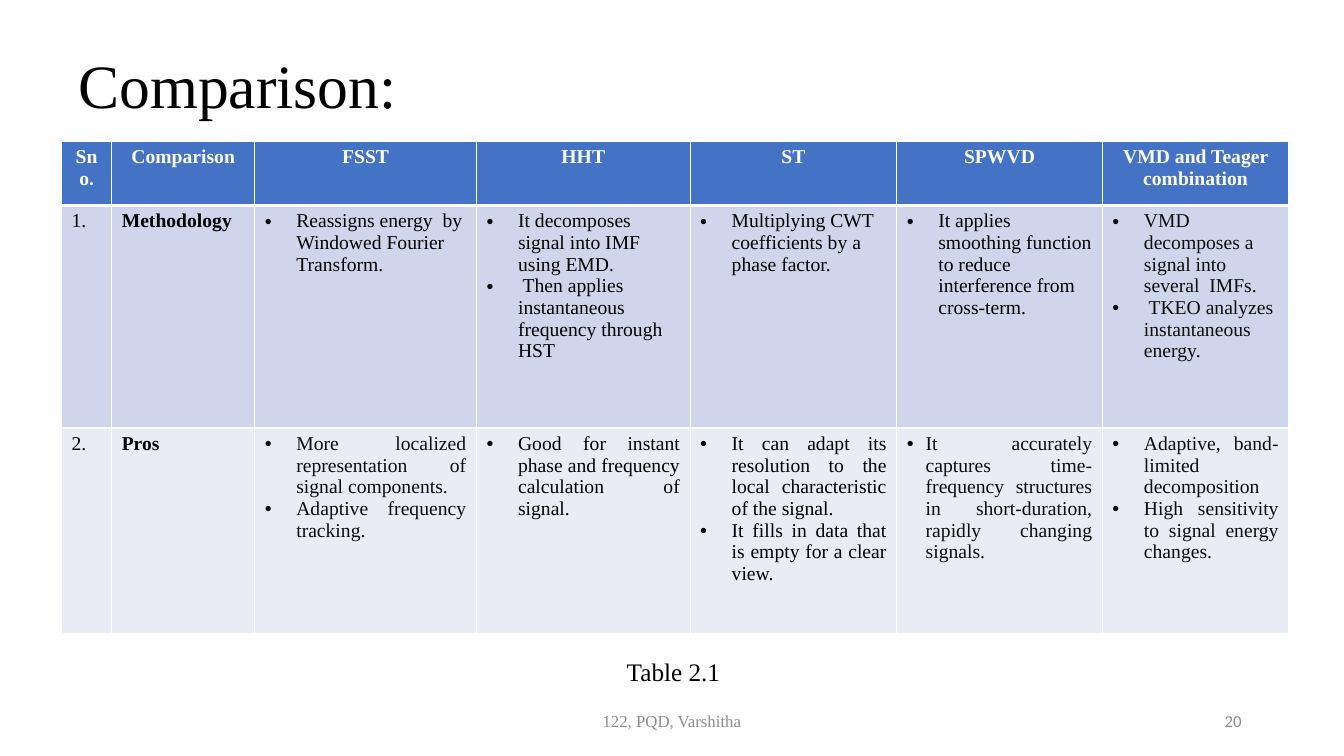
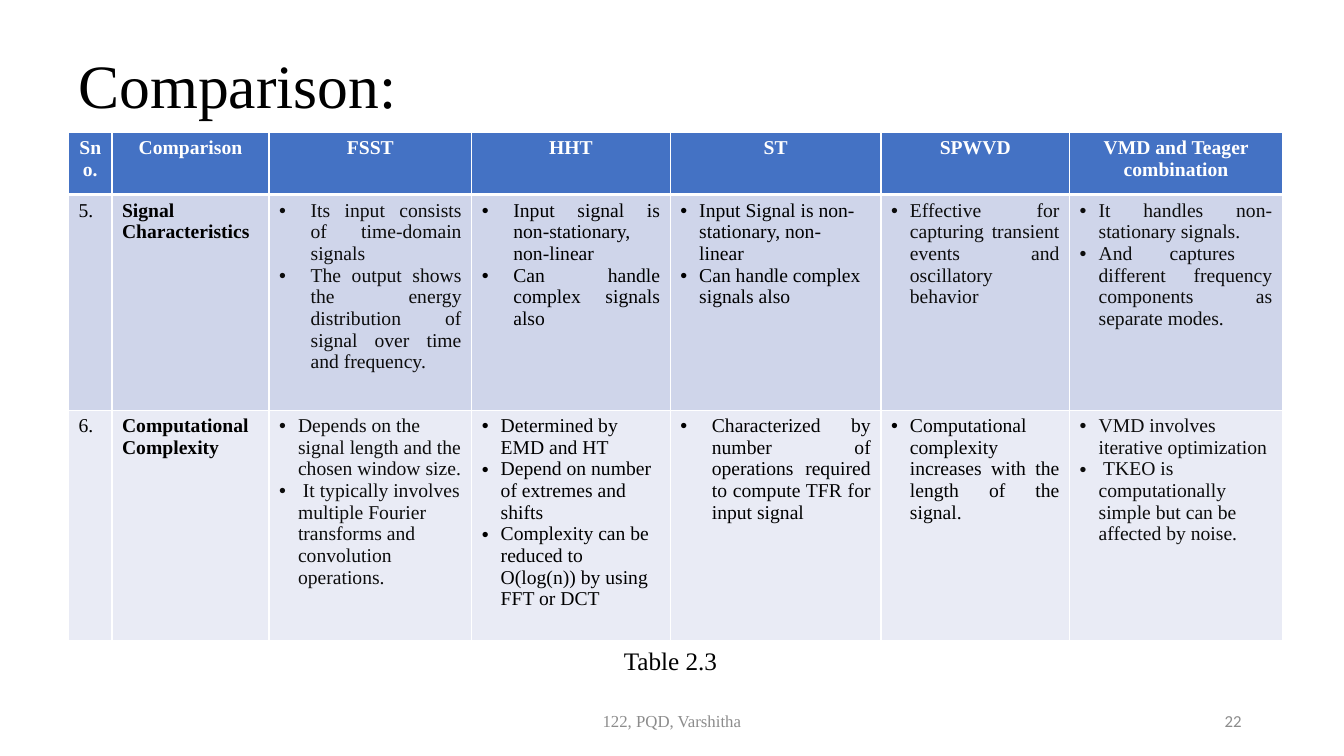
from dataclasses import dataclass

from lxml import etree
from pptx import Presentation
from pptx.dml.color import RGBColor
from pptx.enum.text import MSO_ANCHOR, PP_ALIGN
from pptx.oxml.ns import qn
from pptx.util import Pt

COLORS = {"black": "000000", "soft": "0D0D0D", "white": "FFFFFF", "gray": "8C8C8C",
          "header": "4472C4", "band_dark": "CFD5EA", "band_light": "E9EBF5"}
SERIF, SANS = "Times New Roman", "Calibri"
LEFT, CENTER, RIGHT, JUSTIFY = PP_ALIGN.LEFT, PP_ALIGN.CENTER, PP_ALIGN.RIGHT, PP_ALIGN.JUSTIFY
WIDE, NARROW = 22.5, 13.5  # hanging indents of the bullets


@dataclass
class Points:
    lines: list
    align: int = LEFT
    color: str = "black"
    indent: float = WIDE


# Content
TITLE = "Comparison:"
FOOTER = "122, PQD, Varshitha"
HEADINGS = ["Sno.", "Comparison", "FSST", "HHT", "ST", "SPWVD", "VMD and Teager combination"]

SLIDES = [
    {
        "page": "20", "caption": "Table 2.1", "caption_at": (440.6, 465),
        "table_at": (44, 100.8), "row_heights": [46, 159, 147],
        "col_widths": [35.8, 102.2, 158.4, 152.6, 147.6, 146.9, 133.2],
        "rows": [
            ("1.", "Methodology", [
                Points(["Reassigns energy  by Windowed Fourier Transform."]),
                Points(["It decomposes signal into IMF using EMD.",
                        " Then applies instantaneous frequency through HST"]),
                Points(["Multiplying CWT coefficients by a phase factor."]),
                Points(["It applies smoothing function to reduce interference from cross-term."]),
                Points(["VMD decomposes a signal into several  IMFs.",
                        " TKEO analyzes instantaneous energy."], color="soft"),
            ]),
            ("2.", "Pros", [
                Points(["More localized representation of signal components.",
                        "Adaptive frequency tracking."], JUSTIFY, "soft"),
                Points(["Good for instant phase and frequency calculation of signal."], JUSTIFY),
                Points(["It can adapt its resolution to the local characteristic of the signal.",
                        "It fills in data that is empty for a clear view."], JUSTIFY),
                Points(["It accurately captures time-frequency structures in short-duration, "
                        "rapidly changing signals."], JUSTIFY, "soft", NARROW),
                Points(["Adaptive, band-limited decomposition",
                        "High sensitivity to signal energy changes."], JUSTIFY, "soft"),
            ]),
        ],
    },
    {
        "page": "22", "caption": "Table 2.3", "caption_at": (438.5, 457.2),
        "table_at": (49, 94.4), "row_heights": [44.6, 154, 164.8],
        "col_widths": [31, 112.2, 144.8, 141.8, 150.5, 134.8, 152],
        "rows": [
            ("5.", "Signal Characteristics", [
                Points(["Its input consists of time-domain signals",
                        "The output shows the energy distribution of signal over time "
                        "and frequency."], JUSTIFY, "soft"),
                Points(["Input signal is non-stationary, non-linear",
                        "Can handle complex signals also"], JUSTIFY),
                Points(["Input Signal is non- stationary, non- linear",
                        "Can handle complex signals also"], indent=NARROW),
                Points(["Effective for capturing transient events and oscillatory behavior"],
                       JUSTIFY, "soft", NARROW),
                Points(["It handles non-stationary signals.",
                        "And captures  different frequency components as separate modes."],
                       JUSTIFY, "soft", NARROW),
            ]),
            ("6.", "Computational Complexity", [
                Points(["Depends on the signal length and the chosen window size.",
                        " It typically involves multiple Fourier transforms and "
                        "convolution operations."], LEFT, "soft", NARROW),
                Points(["Determined by EMD and HT",
                        "Depend on number of extremes and shifts",
                        "Complexity can be reduced to O(log(n)) by using FFT or DCT"],
                       indent=NARROW),
                Points(["Characterized by number of operations required to compute TFR "
                        "for input signal"], JUSTIFY),
                Points(["Computational complexity increases with the length of the signal."],
                       JUSTIFY, indent=NARROW),
                Points(["VMD involves iterative optimization",
                        " TKEO is computationally simple but can be affected by noise."],
                       LEFT, "soft", NARROW),
            ]),
        ],
    },
]


def rgb(name):
    return RGBColor.from_string(COLORS[name])


def write(frame, lines, size=14, color="black", font=SERIF, bold=False,
          align=LEFT, indent=0, spacing=None):
    """Fill a text frame with one paragraph a line; an indent makes them bullets."""
    frame.word_wrap = True
    for i, line in enumerate(lines):
        paragraph = frame.paragraphs[0] if i == 0 else frame.add_paragraph()
        paragraph.alignment = align
        if spacing:
            paragraph.line_spacing = spacing
        if indent:
            props = paragraph._p.get_or_add_pPr()
            props.set("marL", str(Pt(indent)))
            props.set("indent", str(-Pt(indent)))
            etree.SubElement(props, qn("a:buFont"), typeface="Arial")
            etree.SubElement(props, qn("a:buChar"), char="•")
        run = paragraph.add_run()
        run.text = line
        run.font.size, run.font.name, run.font.bold = Pt(size), font, bold
        run.font.color.rgb = rgb(color)


def add_label(slide, text, left, top, width, height, anchor=MSO_ANCHOR.MIDDLE, **style):
    box = slide.shapes.add_textbox(Pt(left), Pt(top), Pt(width), Pt(height))
    box.text_frame.vertical_anchor = anchor
    write(box.text_frame, [text], **style)


def paint(cell, fill, top=1, bottom=1):
    """White cell borders, then the fill."""
    props = cell._tc.get_or_add_tcPr()
    for side, weight in (("L", 1), ("R", 1), ("T", top), ("B", bottom)):
        line = etree.SubElement(props, qn("a:ln" + side), w=str(Pt(weight)))
        solid = etree.SubElement(line, qn("a:solidFill"))
        etree.SubElement(solid, qn("a:srgbClr"), val=COLORS["white"])
    cell.fill.solid()
    cell.fill.fore_color.rgb = rgb(fill)


def add_comparison(slide, data):
    widths, heights = data["col_widths"], data["row_heights"]
    left, top = data["table_at"]
    table = slide.shapes.add_table(len(heights), len(widths), Pt(left), Pt(top),
                                   Pt(sum(widths)), Pt(sum(heights))).table
    table.horz_banding = False
    for column, width in zip(table.columns, widths):
        column.width = Pt(width)
    for row, height in zip(table.rows, heights):
        row.height = Pt(height)

    for c, heading in enumerate(HEADINGS):
        cell = table.cell(0, c)
        paint(cell, "header", bottom=3)
        write(cell.text_frame, [heading], color="white", bold=True, align=CENTER)

    for r, (number, aspect, methods) in enumerate(data["rows"], 1):
        for c in range(len(widths)):
            paint(table.cell(r, c), "band_dark" if r % 2 else "band_light",
                  top=3 if r == 1 else 1)
        write(table.cell(r, 0).text_frame, [number])
        write(table.cell(r, 1).text_frame, [aspect], bold=True)
        for c, points in enumerate(methods, 2):
            write(table.cell(r, c).text_frame, points.lines, align=points.align,
                  color=points.color, indent=points.indent)


def main():
    prs = Presentation()
    prs.slide_width, prs.slide_height = Pt(960), Pt(540)
    for data in SLIDES:
        slide = prs.slides.add_slide(prs.slide_layouts[6])
        add_label(slide, TITLE, 49, 28.8, 765, 68.4, size=44, spacing=0.9)
        add_comparison(slide, data)
        # Footer, page number and caption
        add_label(slide, FOOTER, 318, 500.5, 324, 28.8, size=12, color="gray", align=CENTER)
        add_label(slide, data["page"], 678, 500.5, 216, 28.8, size=12, color="gray",
                  font=SANS, align=RIGHT)
        add_label(slide, data["caption"], *data["caption_at"], 270.8, 28.8,
                  anchor=MSO_ANCHOR.TOP, size=18)
    prs.save("out.pptx")


if __name__ == "__main__":
    main()
